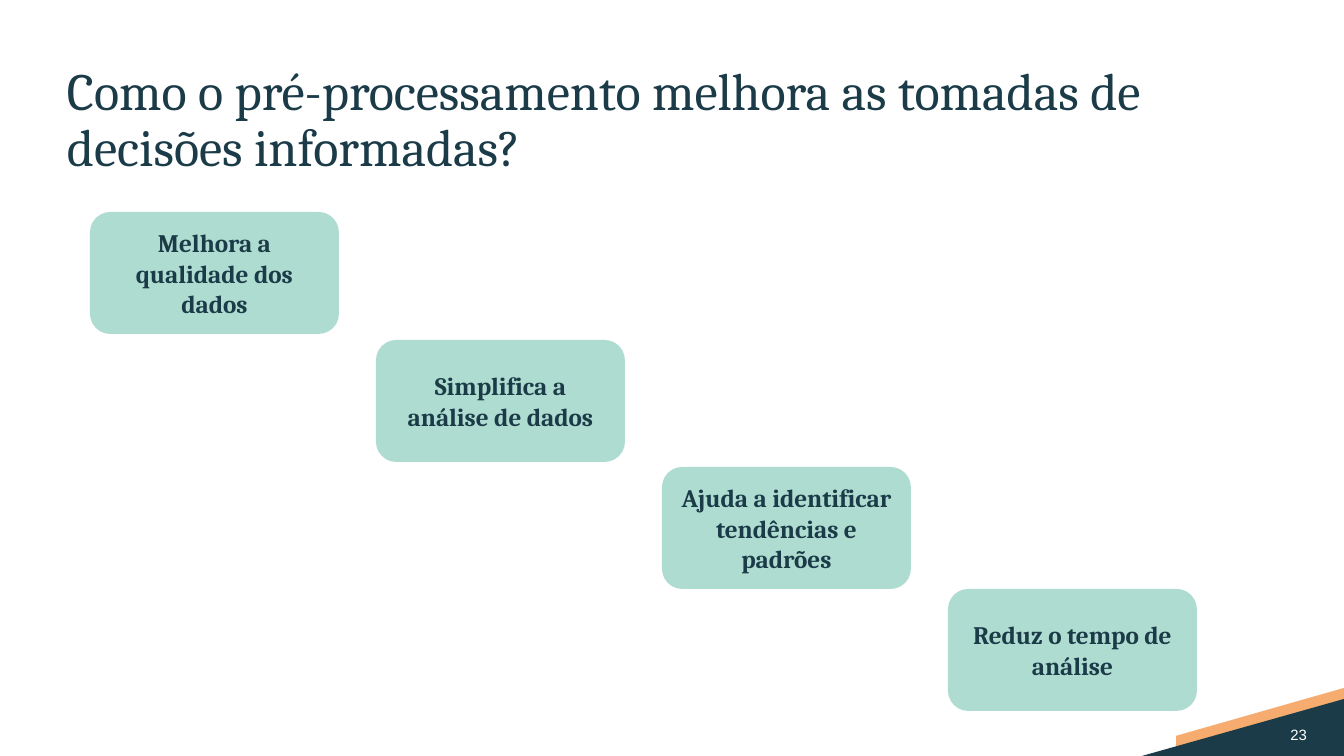
from dataclasses import dataclass

from pptx import Presentation
from pptx.dml.color import RGBColor
from pptx.enum.shapes import MSO_SHAPE as Shape
from pptx.enum.text import MSO_ANCHOR as Anchor, MSO_AUTO_SIZE as AutoSize, PP_ALIGN as Align
from pptx.util import Emu, Pt

EMU_PER_PX = 914400 / 134.4
SLIDE_WIDTH, SLIDE_HEIGHT = 1344, 756


@dataclass(frozen=True)
class Theme:
    navy: str = "1A3B47"
    orange: str = "F7AC6F"
    mint: str = "AFDCD1"
    white: str = "FFFFFF"
    serif: str = "Cambria"
    sans: str = "Arial"
    title_size: float = 28
    box_size: float = 13.5
    number_size: float = 8


def px(length):
    return Emu(round(length * EMU_PER_PX))


def write_text(shape, text, *, font, size, color, bold=False, align=Align.LEFT,
               anchor=Anchor.MIDDLE, side_inset=0, line_spacing=None):
    frame = shape.text_frame
    frame.word_wrap = True
    frame.auto_size = AutoSize.NONE
    frame.vertical_anchor = anchor
    frame.margin_left = frame.margin_right = px(side_inset)
    frame.margin_top = frame.margin_bottom = 0
    paragraph = frame.paragraphs[0]
    paragraph.alignment = align
    paragraph.line_spacing = line_spacing
    run = paragraph.add_run()
    run.text = text
    run.font.name = font
    run.font.size = Pt(size)
    run.font.bold = bold
    run.font.color.rgb = RGBColor.from_string(color)


class SlideBuilder:
    def __init__(self, slide, theme):
        self.slide = slide
        self.theme = theme

    def paint(self, shape, color):
        shape.shadow.inherit = False
        shape.fill.solid()
        shape.fill.fore_color.rgb = RGBColor.from_string(color)
        shape.line.fill.background()

    def title(self, text, left, top, width, height):
        title = self.slide.shapes.title
        title.left, title.top = px(left), px(top)
        title.width, title.height = px(width), px(height)
        write_text(title, text, font=self.theme.serif, size=self.theme.title_size,
                   color=self.theme.navy, anchor=Anchor.TOP, line_spacing=0.9)

    def polygon(self, points, color):
        builder = self.slide.shapes.build_freeform(*points[0], scale=EMU_PER_PX)
        builder.add_line_segments(points[1:], close=True)
        self.paint(builder.convert_to_shape(), color)

    def box(self, text, left, top, width, height):
        box = self.slide.shapes.add_shape(
            Shape.ROUNDED_RECTANGLE, px(left), px(top), px(width), px(height))
        self.paint(box, self.theme.mint)
        write_text(box, text, font=self.theme.serif, size=self.theme.box_size,
                   color=self.theme.navy, bold=True, align=Align.CENTER, side_inset=12)

    def page_number(self, text, left, top, width, height):
        label = self.slide.shapes.add_textbox(px(left), px(top), px(width), px(height))
        write_text(label, text, font=self.theme.sans, size=self.theme.number_size,
                   color=self.theme.white, align=Align.RIGHT)


def main():
    presentation = Presentation()
    presentation.slide_width, presentation.slide_height = px(SLIDE_WIDTH), px(SLIDE_HEIGHT)
    theme = Theme()
    title_only = presentation.slide_layouts[5]
    builder = SlideBuilder(presentation.slides.add_slide(title_only), theme)

    # Corner decoration and page number
    builder.polygon([(1344, 731), (1344, 688), (1176, 736), (1176, 755)], theme.orange)
    builder.polygon([(1142, 756), (1344, 699), (1344, 756)], theme.navy)
    builder.page_number("23", 1265, 716, 42, 37)

    # Title
    builder.title("Como o pré-processamento melhora as tomadas de decisões informadas?",
                  67, 65, 1210, 121)

    # Descending staircase of benefits
    benefits = [
        ("Melhora a qualidade dos dados", 212),
        ("Simplifica a análise de dados", 340),
        ("Ajuda a identificar tendências e padrões", 467),
        ("Reduz o tempo de análise", 589),
    ]
    for step, (benefit, top) in enumerate(benefits):
        builder.box(benefit, 90 + 286 * step, top, 249, 122)

    presentation.save("out.pptx")


if __name__ == "__main__":
    main()
